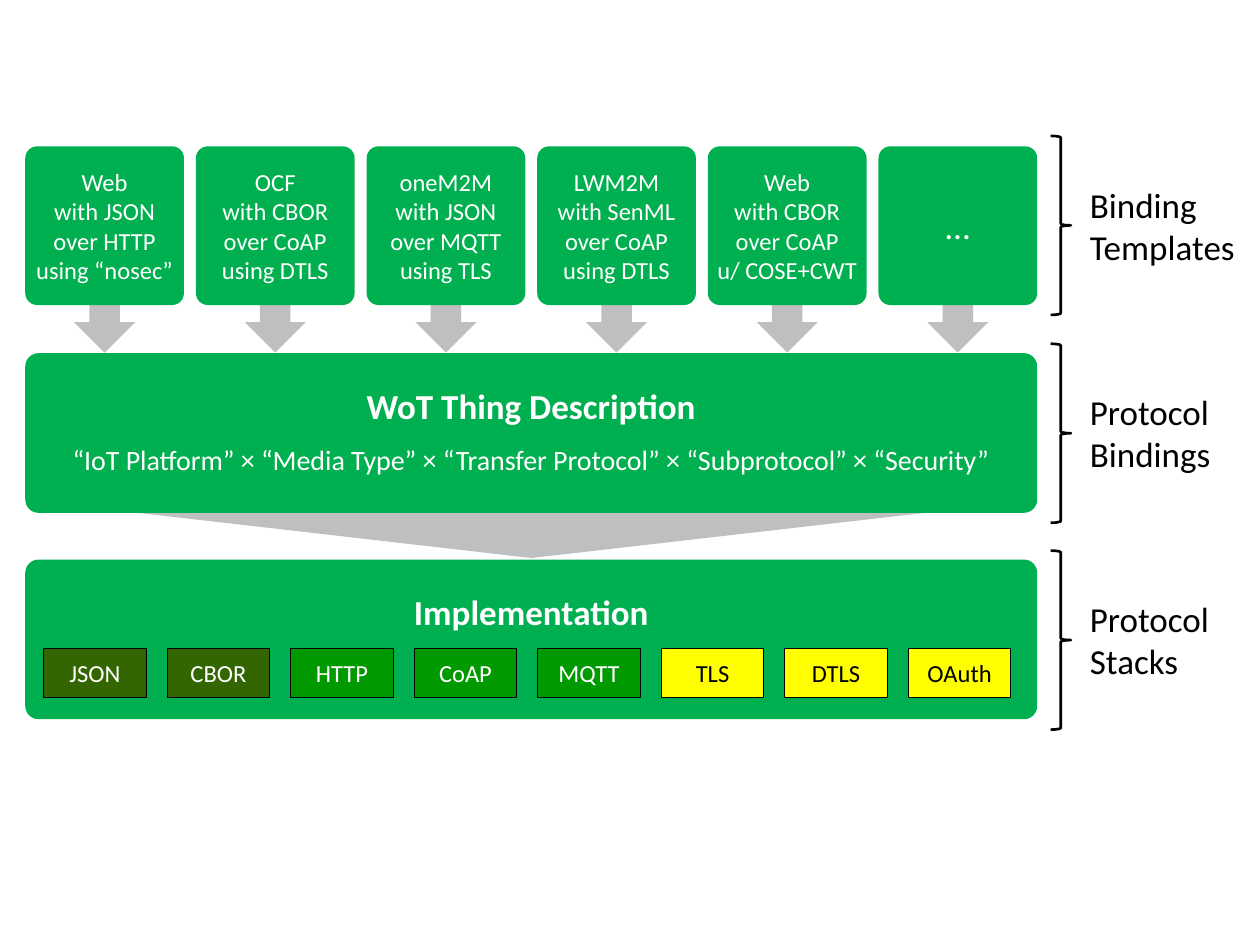
from dataclasses import dataclass

from pptx import Presentation
from pptx.dml.color import RGBColor
from pptx.enum.shapes import MSO_SHAPE
from pptx.enum.text import MSO_ANCHOR, MSO_AUTO_SIZE, PP_ALIGN
from pptx.util import Cm, Pt


@dataclass(frozen=True)
class Theme:
    """Colours, font and type sizes of the slide."""
    green: str = "00B050"
    arrow: str = "BFBFBF"
    media: str = "336600"
    transfer: str = "009900"
    security: str = "FFFF00"
    light: str = "FFFFFF"
    dark: str = "000000"
    font: str = "Calibri"
    heading: int = 20
    body: int = 16
    small: int = 14


THEME = Theme()
LEFT = 0.51
CARD_TOP, CARD_SIZE, CARD_PITCH = 2.95, 3.2, 3.44
PANEL_WIDTH, PANEL_HEIGHT = 20.4, 3.22
DESCRIPTION_TOP, IMPLEMENTATION_TOP = 7.12, 11.28
BRACE_HEIGHT, LABEL_HEIGHT = 3.61, 1.96

CARDS = [
    (["Web", "with JSON", "over HTTP", "using “nosec”"], THEME.small),
    (["OCF", "with CBOR", "over CoAP", "using DTLS"], THEME.small),
    (["oneM2M", "with JSON", "over MQTT", "using TLS"], THEME.small),
    (["LWM2M", "with SenML", "over CoAP", "using DTLS"], THEME.small),
    (["Web\nwith CBOR\nover CoAP\nu/ COSE+CWT"], THEME.small),
    (["…"], THEME.heading),
]
PROTOCOLS = [
    ("JSON", THEME.media, THEME.light),
    ("CBOR", THEME.media, THEME.light),
    ("HTTP", THEME.transfer, THEME.light),
    ("CoAP", THEME.transfer, THEME.light),
    ("MQTT", THEME.transfer, THEME.light),
    ("TLS", THEME.security, THEME.dark),
    ("DTLS", THEME.security, THEME.dark),
    ("OAuth", THEME.security, THEME.dark),
]
LAYERS = [
    ("Binding\nTemplates", 2.74, 3.48),
    ("Protocol\nBindings", 6.93, 2.95),
    ("Protocol\nStacks", 11.1, 2.95),
]


def add_figure(page, kind, left, top, width, height, fill=None, line=None, line_width=0.5):
    """Add a flat preset shape, measured in centimetres."""
    figure = page.shapes.add_shape(kind, Cm(left), Cm(top), Cm(width), Cm(height))
    figure.shadow.inherit = False
    if fill:
        figure.fill.solid()
        figure.fill.fore_color.rgb = RGBColor.from_string(fill)
    else:
        figure.fill.background()
    if line:
        figure.line.color.rgb = RGBColor.from_string(line)
        figure.line.width = Pt(line_width)
    else:
        figure.line.fill.background()
    return figure


def write_paragraph(para, text, size, color, bold=False, align=PP_ALIGN.CENTER, spacing=None):
    """Write one paragraph, with a line break at each newline."""
    para.alignment = align
    if spacing:
        para.line_spacing = spacing
    for index, line in enumerate(text.split("\n")):
        if index:
            para.add_line_break()
        span = para.add_run()
        span.text = line
        span.font.name = THEME.font
        span.font.size = Pt(size)
        span.font.bold = bold
        span.font.color.rgb = RGBColor.from_string(color)


def add_card(page, left, lines, size):
    """Add a binding template card and the arrow below it."""
    arrow_width = 1.23
    add_figure(page, MSO_SHAPE.DOWN_ARROW, left + (CARD_SIZE - arrow_width) / 2, 5.66,
               arrow_width, 1.45, THEME.arrow)
    card = add_figure(page, MSO_SHAPE.ROUNDED_RECTANGLE, left, CARD_TOP,
                      CARD_SIZE, CARD_SIZE, THEME.green)
    card.adjustments[0] = 0.075
    frame = card.text_frame
    frame.word_wrap = False
    frame.vertical_anchor = MSO_ANCHOR.MIDDLE
    for index, line in enumerate(lines):
        para = frame.add_paragraph() if index else frame.paragraphs[0]
        write_paragraph(para, line, size, THEME.light)


def add_panel(page, top, title, subtitle=None):
    """Add a full-width panel with a bold title and an optional second line."""
    panel = add_figure(page, MSO_SHAPE.ROUNDED_RECTANGLE, LEFT, top,
                       PANEL_WIDTH, PANEL_HEIGHT, THEME.green)
    panel.adjustments[0] = 0.083
    frame = panel.text_frame
    frame.word_wrap = False
    frame.vertical_anchor = MSO_ANCHOR.TOP
    write_paragraph(frame.paragraphs[0], title, THEME.heading, THEME.light, bold=True, spacing=1.5)
    if subtitle:
        write_paragraph(frame.add_paragraph(), subtitle, THEME.body, THEME.light, spacing=1.5)


def add_protocol(page, left, name, fill, color):
    """Add one protocol box of the implementation panel."""
    box = add_figure(page, MSO_SHAPE.RECTANGLE, left, 13.07, 2.07, 1, fill, THEME.dark)
    box.text_frame.word_wrap = True
    box.text_frame.vertical_anchor = MSO_ANCHOR.MIDDLE
    write_paragraph(box.text_frame.paragraphs[0], name, THEME.small, color)


def add_layer_label(page, text, top, width):
    """Add a brace with its label centred beside it."""
    add_figure(page, MSO_SHAPE.RIGHT_BRACE, 21.18, top, 0.41, BRACE_HEIGHT,
               line=THEME.dark, line_width=1.5)
    label_top = top + (BRACE_HEIGHT - LABEL_HEIGHT) / 2
    label = page.shapes.add_textbox(Cm(21.72), Cm(label_top), Cm(width), Cm(LABEL_HEIGHT))
    label.text_frame.word_wrap = False
    label.text_frame.auto_size = MSO_AUTO_SIZE.SHAPE_TO_FIT_TEXT
    write_paragraph(label.text_frame.paragraphs[0], text, THEME.heading, THEME.dark,
                    align=PP_ALIGN.LEFT)


def main():
    """Build the protocol binding slide."""
    deck = Presentation()
    deck.slide_width, deck.slide_height = Cm(25.4), Cm(19.05)
    page = deck.slides.add_slide(deck.slide_layouts[6])

    funnel = add_figure(page, MSO_SHAPE.DOWN_ARROW, 2.31, 9.32, 16.81, 1.93, THEME.arrow)
    funnel.adjustments[0] = 0.76
    for index, (lines, size) in enumerate(CARDS):
        add_card(page, LEFT + index * CARD_PITCH, lines, size)
    add_panel(page, DESCRIPTION_TOP, "WoT Thing Description",
              "“IoT Platform” × “Media Type” × “Transfer Protocol” × “Subprotocol” × “Security”")
    add_panel(page, IMPLEMENTATION_TOP, "Implementation")
    for index, (name, fill, color) in enumerate(PROTOCOLS):
        add_protocol(page, 0.88 + index * 2.49, name, fill, color)
    for text, top, width in LAYERS:
        add_layer_label(page, text, top, width)

    deck.save("out.pptx")


if __name__ == "__main__":
    main()
